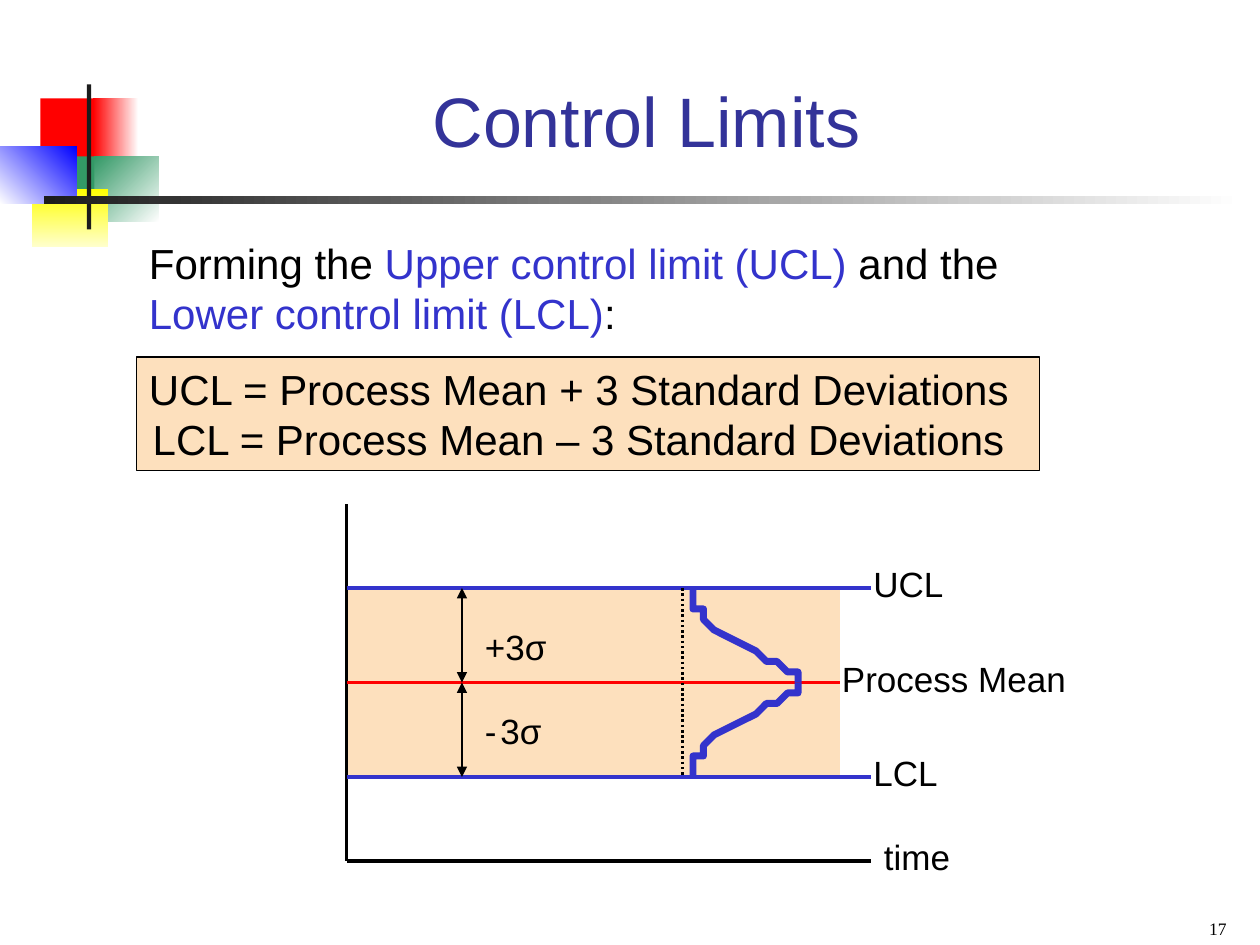
"""Build the Control Limits slide on a grid of 120 columns by 90 rows."""
from pptx import Presentation
from pptx.dml.color import RGBColor
from pptx.enum.dml import MSO_LINE
from pptx.enum.shapes import MSO_CONNECTOR, MSO_SHAPE
from pptx.enum.text import MSO_ANCHOR, MSO_AUTO_SIZE, PP_ALIGN
from pptx.oxml.ns import qn
from pptx.util import Inches, Pt
from lxml import etree

RECTANGLE = MSO_SHAPE.RECTANGLE
STRAIGHT = MSO_CONNECTOR.STRAIGHT
DOTTED = MSO_LINE.ROUND_DOT
TOP, BOTTOM = MSO_ANCHOR.TOP, MSO_ANCHOR.BOTTOM
LEFT, CENTER, RIGHT = PP_ALIGN.LEFT, PP_ALIGN.CENTER, PP_ALIGN.RIGHT
GROW, FIXED = MSO_AUTO_SIZE.SHAPE_TO_FIT_TEXT, MSO_AUTO_SIZE.NONE

THEME = {
    "font": "Arial", "number_font": "Times New Roman",
    "title_size": 40, "body_size": 24, "label_size": 20, "number_size": 10, "gap_size": 8,
    "black": "000000", "title": "333399", "limit": "3333CC", "mean": "FF0000",
    "band": "FDE0BD", "white": "FFFFFF", "dark": "1C1C1C", "red": "FF0000",
    "green": "339966", "yellow": "FFFF00", "pale_yellow": "FFFFCC", "blue": "0000FF",
}

presentation = Presentation()
presentation.slide_width, presentation.slide_height = Inches(10), Inches(7.5)
COLUMN = presentation.slide_width / 120
ROW = presentation.slide_height / 90
slide = presentation.slides.add_slide(presentation.slide_layouts[6])


def add_rectangle(column, row, width, height, colors, angle=0):
    shape = slide.shapes.add_shape(
        RECTANGLE, round(column * COLUMN), round(row * ROW), round(width * COLUMN), round(height * ROW))
    shape.shadow.inherit = False
    shape.line.fill.background()
    if len(colors) == 1:
        shape.fill.solid()
        shape.fill.fore_color.rgb = RGBColor.from_string(THEME[colors[0]])
    else:
        shape.fill.gradient()
        shape.fill.gradient_angle = (360 - angle) % 360
        for stop, color, position in zip(shape.fill.gradient_stops, colors, (0, 1)):
            stop.color.rgb = RGBColor.from_string(THEME[color])
            stop.position = position
    return shape


def write_text(shape, paragraphs, size, color="black", font="font", align=LEFT, anchor=TOP, fit=GROW):
    frame = shape.text_frame
    frame_format = {
        "word_wrap": True, "auto_size": fit, "vertical_anchor": anchor,
        "margin_left": Inches(0.1), "margin_right": Inches(0.1),
        "margin_top": Inches(0.05), "margin_bottom": Inches(0.05),
    }
    for name, value in frame_format.items():
        setattr(frame, name, value)
    for index, runs in enumerate(paragraphs):
        paragraph = frame.paragraphs[0] if index == 0 else frame.add_paragraph()
        paragraph.alignment = align
        for text, changes in runs:
            run = paragraph.add_run()
            run.text = text
            run_format = {"size": Pt(THEME[changes.get("size", size)]), "name": THEME[font]}
            for name, value in run_format.items():
                setattr(run.font, name, value)
            run.font.color.rgb = RGBColor.from_string(THEME[changes.get("color", color)])


decorations = [
    (3.84, 9.36, 5.76, 6.24, ["red"], 0),
    (8.88, 9.36, 4.32, 6.24, ["white", "red"], 180),
    (9, 14.88, 6.12, 6.24, ["white", "green"], 225),
    (5.16, 14.88, 3.84, 6.24, ["green"], 0),
    (3, 18, 7.32, 5.52, ["yellow", "pale_yellow"], 90),
    (0, 13.92, 7.32, 5.52, ["blue", "white"], 135),
    (8.28, 8.04, 0.4, 13.8, ["dark"], 0),
    (4.2, 18.72, 114.12, 0.72, ["white", "dark"], 180),
]
for decoration in decorations:
    add_rectangle(*decoration)

AXIS, BAND_END, LINE_END = 33, 80, 83
UPPER, MEAN, LOWER, TIME = 56, 65, 74, 82
band = add_rectangle(AXIS, UPPER, BAND_END - AXIS, LOWER - UPPER, ["band"])

formula_box = add_rectangle(13, 34, 86, 10.8, ["band"])
formula_box.line.color.rgb = RGBColor.from_string(THEME["black"])
formula_box.line.width = Pt(0.75)
write_text(formula_box, [
    [("UCL = Process Mean + 3 Standard Deviations", {})],
    [("LCL = Process Mean – 3 Standard Deviations", {})],
], "body_size")
formula_box.text_frame.paragraphs[1]._p.get_or_add_pPr().set("marL", str(Inches(0.03)))

lines = [
    (AXIS, 48, AXIS, TIME, "black", 2.25, None),
    (AXIS, TIME, LINE_END, TIME, "black", 2.25, None),
    (AXIS, LOWER, LINE_END, LOWER, "limit", 2, None),
    (AXIS, MEAN, BAND_END, MEAN, "mean", 2, "joined"),
    (AXIS, UPPER, LINE_END, UPPER, "limit", 2, None),
    (44, UPPER, 44, MEAN, "black", 0.75, "arrows"),
    (44, MEAN, 44, LOWER, "black", 0.75, "arrows"),
    (65, UPPER, 65, LOWER, "black", 1.5, "dotted"),
]
for start_column, start_row, end_column, end_row, color, width, style in lines:
    connector = slide.shapes.add_connector(
        STRAIGHT, round(start_column * COLUMN), round(start_row * ROW),
        round(end_column * COLUMN), round(end_row * ROW))
    connector.line.color.rgb = RGBColor.from_string(THEME[color])
    connector.line.width = Pt(width)
    if style == "joined":
        connector.begin_connect(band, 1)
        connector.end_connect(band, 3)
    if style == "dotted":
        connector.line.dash_style = DOTTED
    if style == "arrows":
        for end in ("a:headEnd", "a:tailEnd"):
            etree.SubElement(connector.line._get_or_add_ln(), qn(end), type="triangle")
    etree.SubElement(connector._element.spPr, qn("a:effectLst"))

half_curve = [
    (66, 9), (66.1, 8), (66.2, 7.5), (66.4, 7), (66.6, 6.6), (66.9, 6.1), (67.3, 5.6), (68.5, 4.7),
    (70.1, 3.7), (72.1, 2.8), (73.1, 2.3), (74, 1.8), (74.9, 1.4), (75.5, 1), (75.8, 0.5), (76, 0),
]
for side in (1, -1):
    points = [(column, MEAN + side * distance) for column, distance in half_curve]
    builder = slide.shapes.build_freeform(*points[0], scale=COLUMN)
    builder.add_line_segments(points[1:], close=False)
    curve = builder.convert_to_shape()
    curve.shadow.inherit = False
    curve.fill.background()
    curve.line.color.rgb = RGBColor.from_string(THEME["limit"])
    curve.line.width = Pt(4)

plain = {"size": "label_size"}
title = {"size": "title_size", "color": "title", "align": CENTER, "anchor": BOTTOM, "fit": FIXED}
number = {"size": "number_size", "font": "number_font", "align": RIGHT, "anchor": BOTTOM, "fit": FIXED}
texts = [
    (15.12, 3, 92.88, 12.96, [("Control Limits", {})], title),
    (79, 62, 28, 5.28, [("Process Mean", {})], plain),
    (82, 53, 11, 5.28, [("UCL", {})], plain),
    (82, 71, 11, 5.28, [("LCL", {})], plain),
    (45, 59, 11, 5.28, [("+3σ", {})], plain),
    (45, 67, 11, 5.28, [("-", {}), (" ", {"size": "gap_size"}), ("3σ", {})], plain),
    (83, 79, 11, 5.28, [("time", {})], plain),
    (13, 22, 94, 10.8, [
        ("Forming the ", {}), ("Upper control limit (UCL)", {"color": "limit"}), (" and the ", {}),
        ("Lower control limit (LCL)", {"color": "limit"}), (":", {}),
    ], {"size": "body_size"}),
    (90, 85.8, 28, 4.2, [("17", {})], number),
]
for column, row, width, height, runs, text_format in texts:
    text_box = slide.shapes.add_textbox(
        round(column * COLUMN), round(row * ROW), round(width * COLUMN), round(height * ROW))
    write_text(text_box, [runs], **text_format)

presentation.save("out.pptx")
